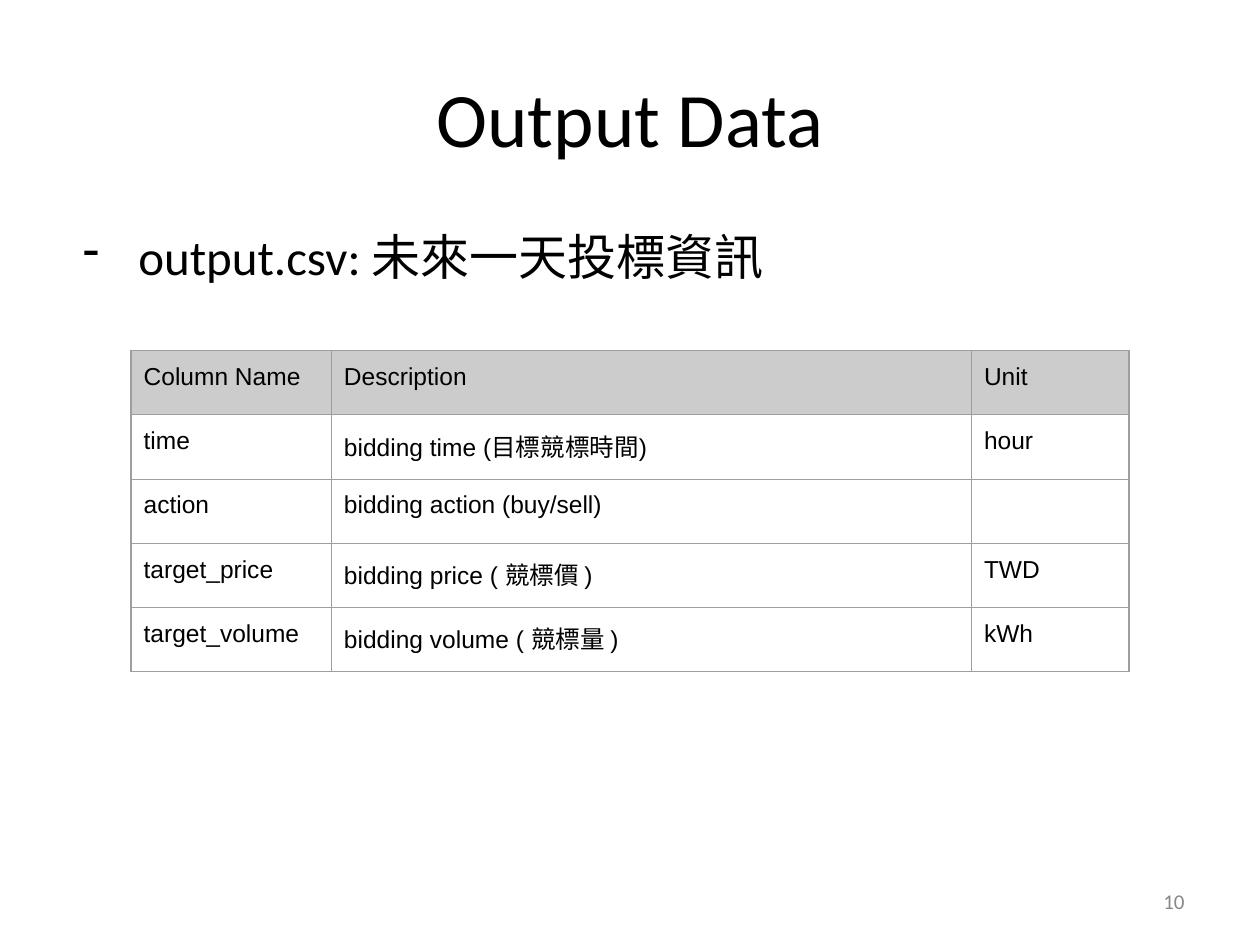
from lxml.etree import SubElement
from pptx import Presentation
from pptx.dml.color import RGBColor
from pptx.enum.text import MSO_ANCHOR, PP_ALIGN
from pptx.oxml.ns import qn
from pptx.util import Inches, Pt

COLORS = {"text": "000000", "number": "888888", "header": "CCCCCC", "border": "9E9E9E"}
WIDTH, HEIGHT = Inches(10), Inches(7.5)
MARGIN = 0.05  # share of the slide width
CONTENT = 1 - 2 * MARGIN
COLUMN_WIDTHS = (1.59, 5.08, 1.25)
ROW_HEIGHT = 0.51
ROWS = (
    ("Column Name", "Description", "Unit"),
    ("time", "bidding time (目標競標時間)", "hour"),
    ("action", "bidding action (buy/sell)", ""),
    ("target_price", "bidding price ( 競標價 )", "TWD"),
    ("target_volume", "bidding volume ( 競標量 )", "kWh"),
)


def style(paragraph, size, name="Calibri", color="text"):
    paragraph.font.size = Pt(size)
    paragraph.font.name = name
    paragraph.font.color.rgb = RGBColor.from_string(COLORS[color])


def add_text(slide, box, text, align, anchor):
    """Place one paragraph in a box given as shares of the slide."""
    left, top, width, height = box
    shape = slide.shapes.add_textbox(
        int(left * WIDTH), int(top * HEIGHT), int(width * WIDTH), int(height * HEIGHT))
    frame = shape.text_frame
    frame.word_wrap = True
    frame.vertical_anchor = anchor
    paragraph = frame.paragraphs[0]
    paragraph.text = text
    paragraph.alignment = align
    return paragraph


def add_title(slide, box):
    style(add_text(slide, box, "Output Data", PP_ALIGN.CENTER, MSO_ANCHOR.MIDDLE), 44)


def add_body(slide, box):
    paragraph = add_text(slide, box, "output.csv: 未來一天投標資訊",
                         PP_ALIGN.LEFT, MSO_ANCHOR.TOP)
    properties = paragraph._p.get_or_add_pPr()
    properties.set("marL", str(Inches(0.5)))
    properties.set("indent", str(Inches(-0.44)))
    SubElement(properties, qn("a:buChar"), char="-")
    style(paragraph, 28)


def add_slide_number(slide, box):
    style(add_text(slide, box, "10", PP_ALIGN.RIGHT, MSO_ANCHOR.MIDDLE), 12, color="number")


def add_borders(cell):
    properties = cell._tc.get_or_add_tcPr()
    for position, side in enumerate(("lnL", "lnR", "lnT", "lnB")):
        line = SubElement(properties, qn(f"a:{side}"), w=str(Pt(0.75)))
        fill = SubElement(line, qn("a:solidFill"))
        SubElement(fill, qn("a:srgbClr"), val=COLORS["border"])
        properties.insert(position, line)  # borders come before the fill


def add_columns_table(slide, left, top):
    table = slide.shapes.add_table(
        len(ROWS), len(COLUMN_WIDTHS), int(left * WIDTH), int(top * HEIGHT),
        Inches(sum(COLUMN_WIDTHS)), Inches(ROW_HEIGHT * len(ROWS))).table
    for column, width in zip(table.columns, COLUMN_WIDTHS):
        column.width = Inches(width)
    for row_index, texts in enumerate(ROWS):
        table.rows[row_index].height = Inches(ROW_HEIGHT)
        for column_index, text in enumerate(texts):
            cell = table.cell(row_index, column_index)
            cell.text = text
            cell.margin_left = cell.margin_right = Inches(0.1)
            cell.margin_top = cell.margin_bottom = Inches(0.1)
            paragraph = cell.text_frame.paragraphs[0]
            style(paragraph, 14, "Arial")
            paragraph.font.bold = False
            if row_index == 0:
                cell.fill.solid()
                cell.fill.fore_color.rgb = RGBColor.from_string(COLORS["header"])
            else:
                cell.fill.background()
            add_borders(cell)


def main():
    presentation = Presentation()
    presentation.slide_width, presentation.slide_height = WIDTH, HEIGHT
    slide = presentation.slides.add_slide(presentation.slide_layouts[6])
    # Heading and bullet
    add_title(slide, (MARGIN, 0.04, CONTENT, 0.167))
    add_body(slide, (MARGIN, 0.233, CONTENT, 0.66))
    # Footer
    add_slide_number(slide, (0.717, 0.927, 0.233, 0.053))
    # Output columns
    add_columns_table(slide, 0.104, 0.371)
    presentation.save("out.pptx")


if __name__ == "__main__":
    main()
